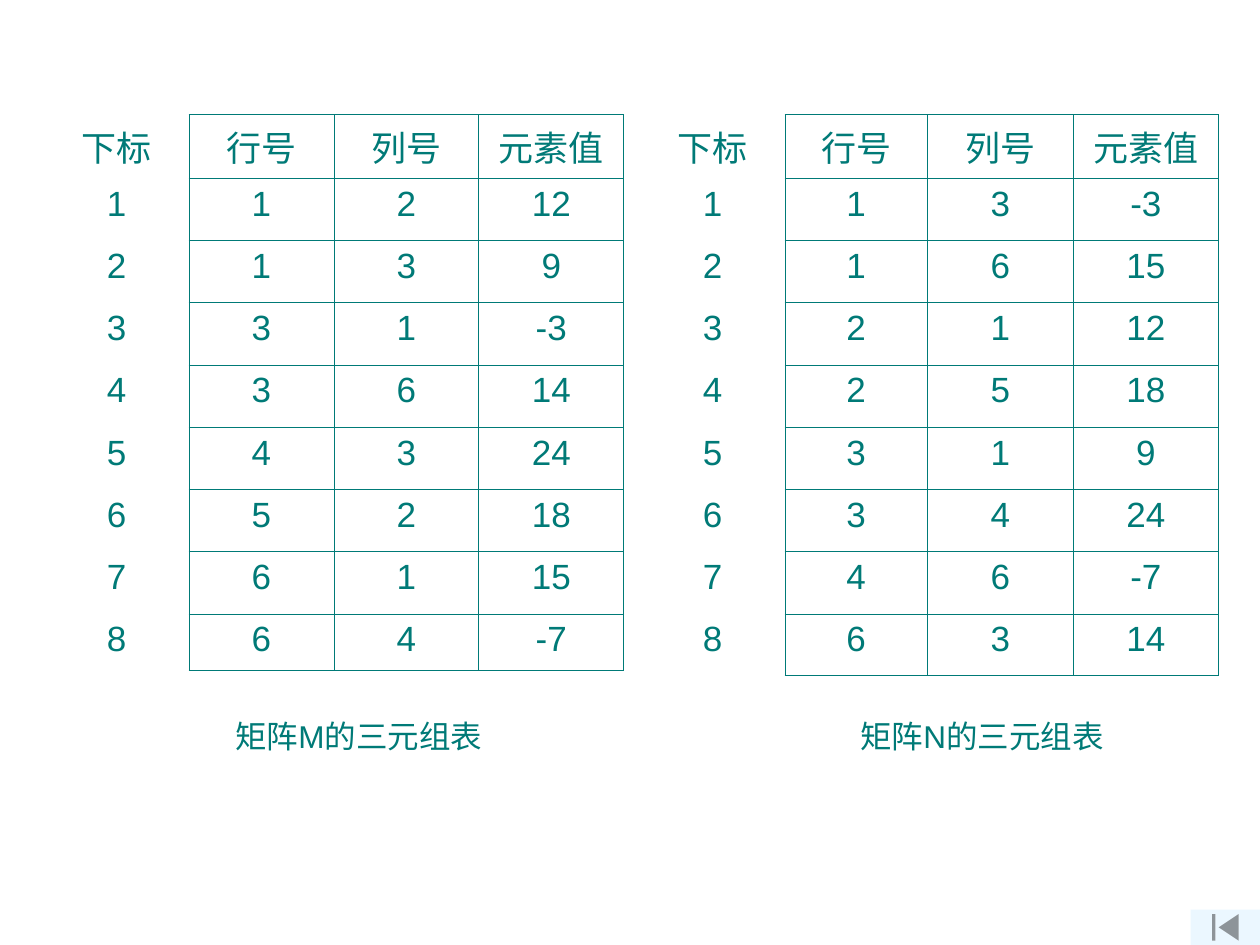
from dataclasses import dataclass

from lxml import etree
from pptx import Presentation, util as u
from pptx.dml.color import RGBColor
from pptx.enum import shapes, text
from pptx.oxml import ns


@dataclass(frozen=True)
class Theme:
    font: str = "Arial"
    teal: str = "007A77"
    button: str = "EBF7FF"
    cell_size: int = 20
    caption_size: int = 18
    border: float = 0.45


THEME = Theme()
HEADER = ("下标", "行号", "列号", "元素值")
M_TRIPLES = [(1, 2, 12), (1, 3, 9), (3, 1, -3), (3, 6, 14),
             (4, 3, 24), (5, 2, 18), (6, 1, 15), (6, 4, -7)]
N_TRIPLES = [(1, 3, -3), (1, 6, 15), (2, 1, 12), (2, 5, 18),
             (3, 1, 9), (3, 4, 24), (4, 6, -7), (6, 3, 14)]
TOP = 0.91
HEADER_HEIGHT = 0.5


def put_text(tf, words, size, align=text.PP_ALIGN.LEFT):
    p = tf.paragraphs[0]
    p.alignment = align
    r = p.add_run()
    r.text = words
    r.font.name = THEME.font
    r.font.size = u.Pt(size)
    r.font.color.rgb = RGBColor.from_string(THEME.teal)


def set_borders(cell, visible):
    """Draw the sides named in visible, out of L, R, T and B, and clear the rest."""
    tc_pr = cell._tc.get_or_add_tcPr()
    for side in "LRTB":
        ln = etree.SubElement(tc_pr, ns.qn(f"a:ln{side}"), w=str(u.Pt(THEME.border)))
        if side in visible:
            fill = etree.SubElement(ln, ns.qn("a:solidFill"))
            etree.SubElement(fill, ns.qn("a:srgbClr"), val=THEME.teal)
        else:
            etree.SubElement(ln, ns.qn("a:noFill"))


def add_triple_table(s, left, triples, widths, height, last_height):
    """Add a table whose index column stands outside the ruled grid."""
    rows = [HEADER] + [(i, *triple) for i, triple in enumerate(triples, 1)]
    body_height = (height - HEADER_HEIGHT - last_height) / (len(rows) - 2)
    heights = [HEADER_HEIGHT] + [body_height] * (len(rows) - 2) + [last_height]
    table = s.shapes.add_table(len(rows), len(HEADER), u.Inches(left), u.Inches(TOP),
                               u.Inches(sum(widths)), u.Inches(height)).table
    table.first_row = table.horz_banding = False
    for column, width in zip(table.columns, widths):
        column.width = u.Inches(width)
    for row, row_height, values in zip(table.rows, heights, rows):
        row.height = u.Inches(row_height)
        for c, (cell, value) in enumerate(zip(row.cells, values)):
            put_text(cell.text_frame, str(value), THEME.cell_size, text.PP_ALIGN.CENTER)
            set_borders(cell, "LRTB" if c else "R")
            cell.fill.background()


def add_caption(s, words, left, width):
    box = s.shapes.add_textbox(u.Inches(left), u.Inches(5.64), u.Inches(width), u.Inches(0.4))
    box.text_frame.word_wrap = False
    put_text(box.text_frame, words, THEME.caption_size)


def add_first_slide_button(s):
    sp = s.shapes.add_shape(shapes.MSO_SHAPE.ACTION_BUTTON_BEGINNING, u.Inches(9.45),
                            u.Inches(7.22), u.Inches(0.55), u.Inches(0.28))
    sp.shadow.inherit = False
    sp.fill.solid()
    sp.fill.fore_color.rgb = RGBColor.from_string(THEME.button)
    sp.line.fill.background()


def main():
    prs = Presentation()
    prs.slide_width, prs.slide_height = u.Inches(10), u.Inches(7.5)
    s = prs.slides.add_slide(prs.slide_layouts[6])
    add_first_slide_button(s)
    add_triple_table(s, 0.35, M_TRIPLES, [1.15] * 4, height=4.41, last_height=0.45)
    add_triple_table(s, 5.08, N_TRIPLES, [1.15, 1.13, 1.16, 1.15], height=4.45, last_height=0.49)
    add_caption(s, "矩阵M的三元组表", left=1.77, width=2.28)
    add_caption(s, "矩阵N的三元组表", left=6.73, width=2.36)
    prs.save("out.pptx")


if __name__ == "__main__":
    main()
